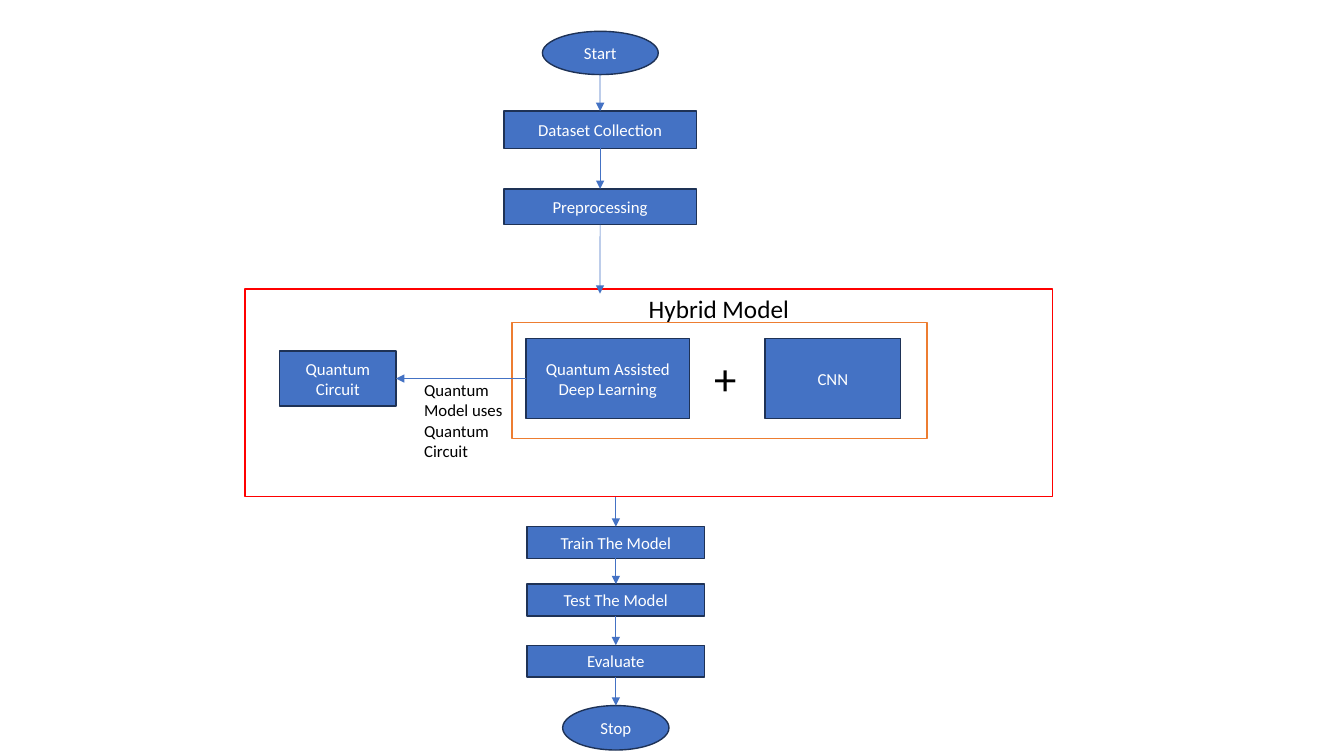
from pptx import Presentation
from pptx import util as u
from pptx.dml.color import RGBColor
from pptx.enum import shapes, text
from pptx.oxml.ns import qn
from lxml import etree

BLUE = RGBColor(0x44, 0x72, 0xC4)
NAVY = RGBColor(0x1E, 0x32, 0x56)
RED = RGBColor(0xFF, 0x00, 0x00)
ORANGE = RGBColor(0xED, 0x7D, 0x31)
WHITE = RGBColor(0xFF, 0xFF, 0xFF)
BLACK = RGBColor(0x00, 0x00, 0x00)
RECT = shapes.MSO_SHAPE.RECTANGLE
OVAL = shapes.MSO_SHAPE.OVAL

deck = Presentation()
deck.slide_width, deck.slide_height = u.Cm(33.87), u.Cm(19.05)
slide = deck.slides.add_slide(deck.slide_layouts[6])


def write(frame, words, size, color):
    frame.word_wrap = True
    run = frame.paragraphs[0].add_run()
    run.text = words
    run.font.name = "Calibri"
    run.font.size = u.Pt(size)
    run.font.color.rgb = color


def link(start, end, source=None, target=None, sides=(2, 0)):
    """Draw an arrow between two points, joined to the boxes given."""
    arrow = slide.shapes.add_connector(
        shapes.MSO_CONNECTOR.STRAIGHT, *[u.Cm(n) for n in start + end])
    if source:
        arrow.begin_connect(source, sides[0])
    if target:
        arrow.end_connect(target, sides[1])
    arrow.line.color.rgb = BLUE
    arrow.line.width = u.Pt(0.5)
    props = arrow._element.spPr
    etree.SubElement(props.find(qn("a:ln")), qn("a:tailEnd"), type="triangle")
    etree.SubElement(props, qn("a:effectLst"))


# Steps of the flow: form, left, top, width, height
steps = {
    "Start": (OVAL, 13.67, 0.79, 2.92, 1.09),
    "Dataset Collection": (RECT, 12.7, 2.8, 4.85, 0.94),
    "Preprocessing": (RECT, 12.7, 4.76, 4.85, 0.9),
    "Quantum Assisted Deep Learning": (RECT, 13.26, 8.53, 4.12, 2.02),
    "CNN": (RECT, 19.28, 8.53, 3.42, 2.02),
    "Quantum Circuit": (RECT, 7.05, 8.85, 2.93, 1.38),
    "Train The Model": (RECT, 13.28, 13.27, 4.48, 0.8),
    "Test The Model": (RECT, 13.28, 14.72, 4.48, 0.8),
    "Evaluate": (RECT, 13.28, 16.26, 4.48, 0.8),
    "Stop": (OVAL, 14.18, 17.78, 2.68, 1.12),
}
boxes = {}
for name, (form, *place) in steps.items():
    box = slide.shapes.add_shape(form, *[u.Cm(n) for n in place])
    box.shadow.inherit = False
    box.fill.solid()
    box.fill.fore_color.rgb = BLUE
    box.line.color.rgb = NAVY
    box.line.width = u.Pt(1)
    box.text_frame.vertical_anchor = text.MSO_ANCHOR.MIDDLE
    box.text_frame.paragraphs[0].alignment = text.PP_ALIGN.CENTER
    write(box.text_frame, name, 12, WHITE)
    boxes[name] = box

# Outlines around the hybrid model and its two parts
for color, *place in [(RED, 6.18, 7.28, 20.35, 5.24),
                      (ORANGE, 12.9, 8.13, 10.46, 2.92)]:
    border = slide.shapes.add_shape(RECT, *[u.Cm(n) for n in place])
    border.shadow.inherit = False
    border.fill.background()
    border.line.color.rgb = color
    border.line.width = u.Pt(1)

# Free labels: words, size, left, top, width, height
for words, size, *place in [
        ("+", 32, 17.75, 8.71, 1.78, 1.63),
        ("Quantum Model uses Quantum Circuit", 12, 10.44, 9.45, 3.02, 2.31),
        ("Hybrid Model", 18, 16.1, 7.26, 8.33, 1.02)]:
    note = slide.shapes.add_textbox(*[u.Cm(n) for n in place])
    write(note.text_frame, words, size, BLACK)

# Arrows into, inside and out of the hybrid model
top, mid = 15.12, 15.52
link((top, 1.88), (top, 2.8), target=boxes["Dataset Collection"])
link((top, 3.74), (top, 4.76), boxes["Dataset Collection"], boxes["Preprocessing"])
link((top, 5.66), (top, 7.4), boxes["Preprocessing"])
link((13.26, 9.54), (9.98, 9.54), boxes["Quantum Assisted Deep Learning"],
     boxes["Quantum Circuit"], (1, 3))
link((mid, 12.52), (mid, 13.27), target=boxes["Train The Model"])
tail = ["Train The Model", "Test The Model", "Evaluate", "Stop"]
for above, below in zip(tail, tail[1:]):
    link((mid, 14), (mid, 15), boxes[above], boxes[below])

deck.save("out.pptx")
